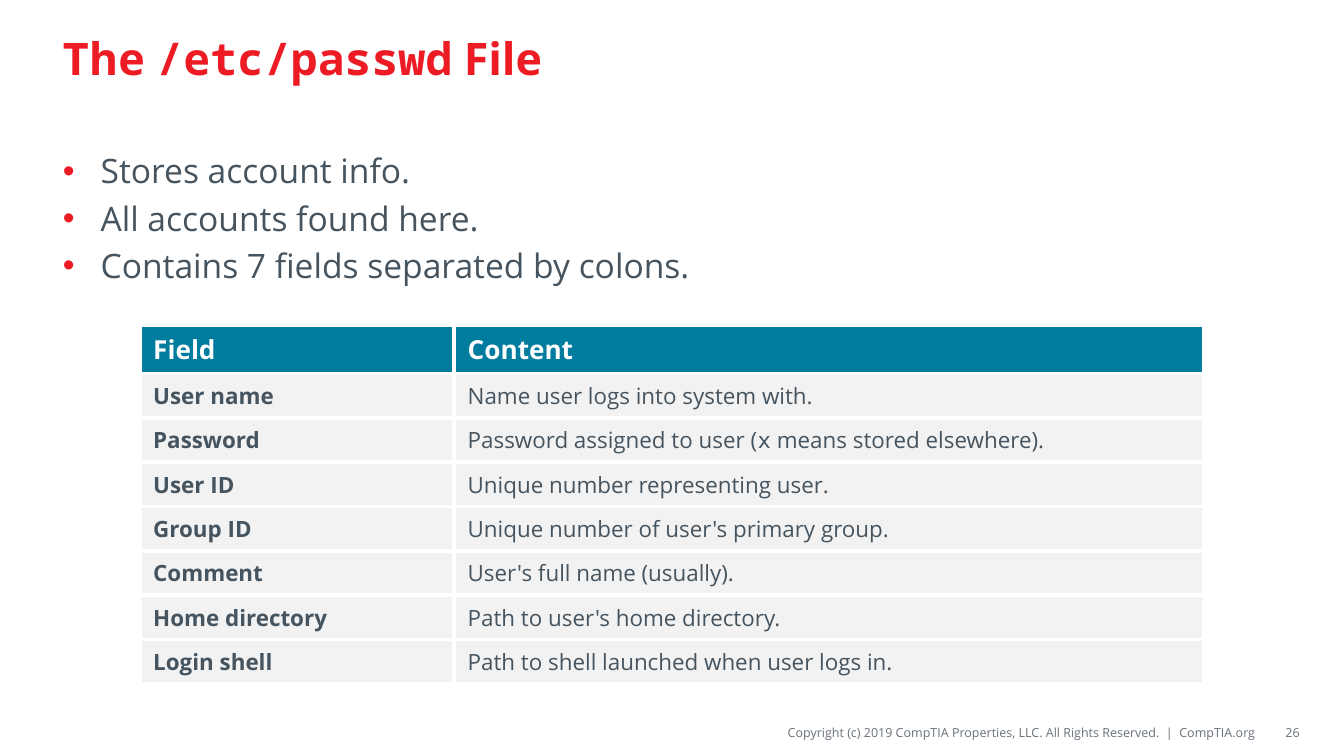
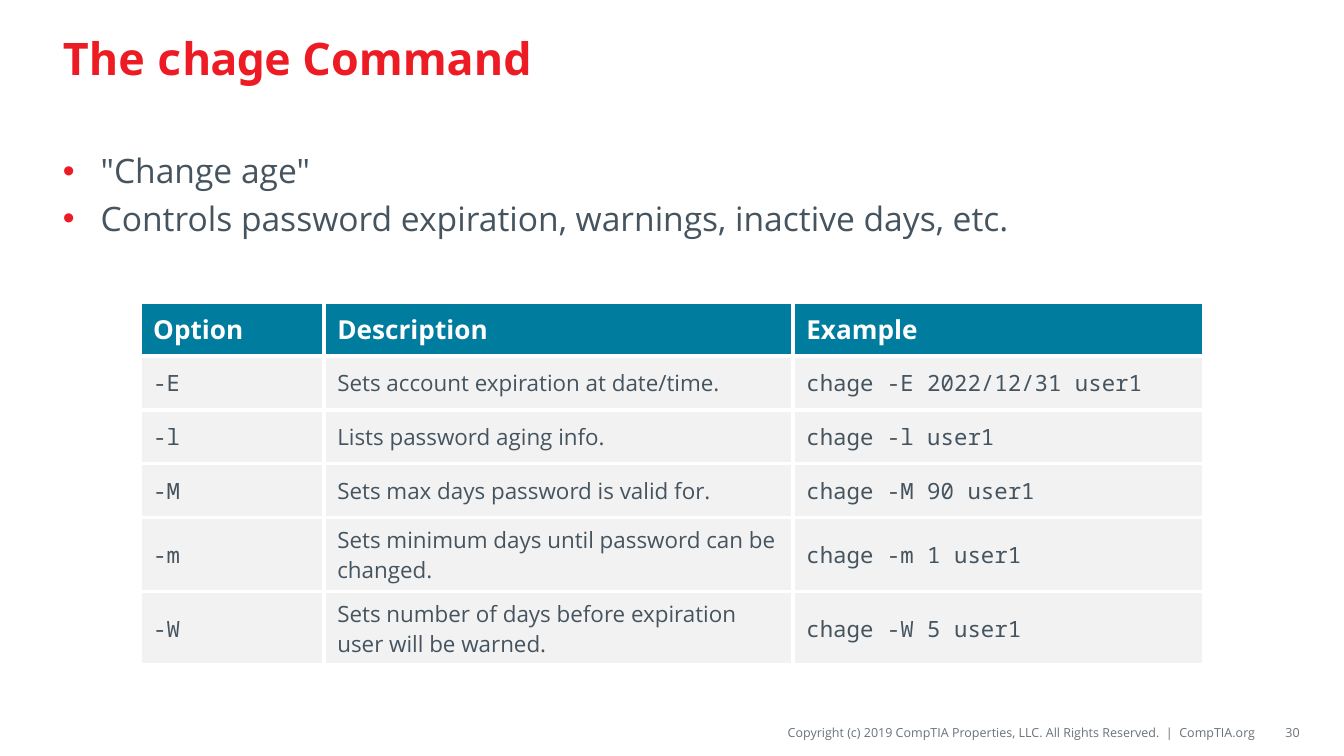
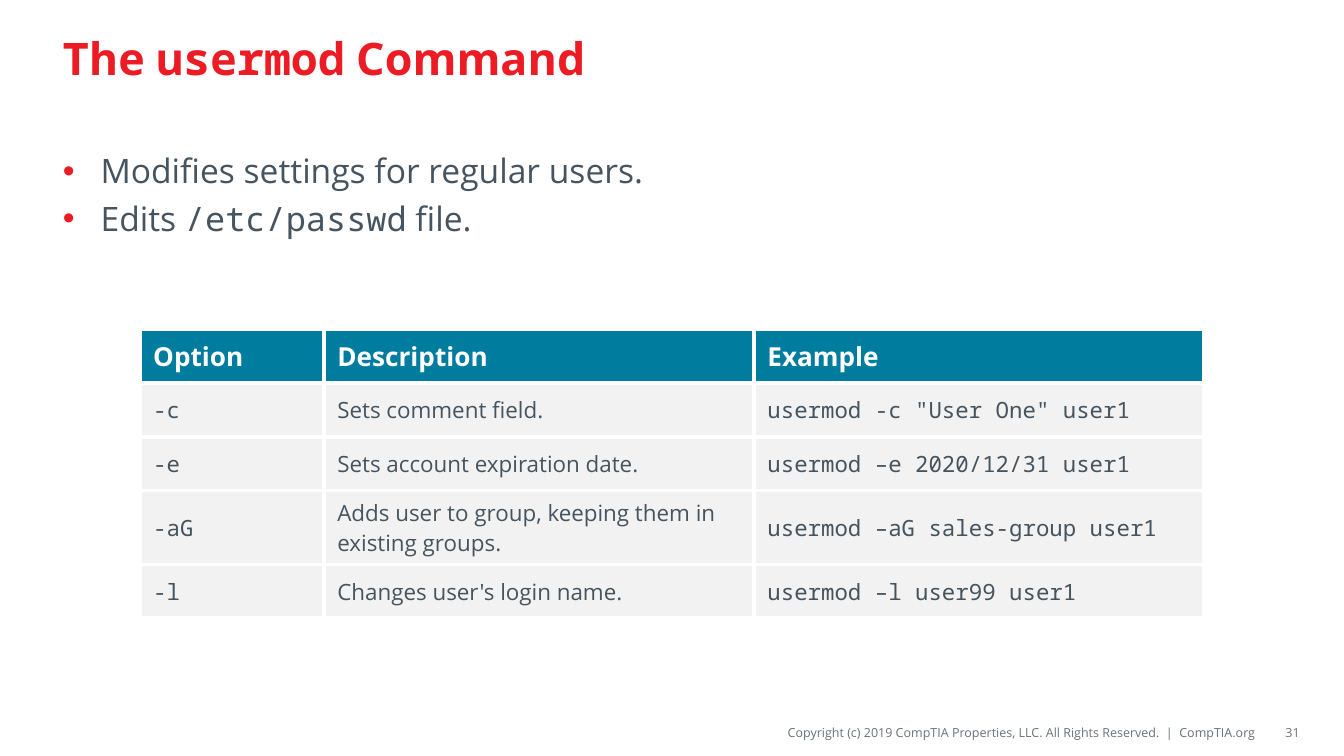
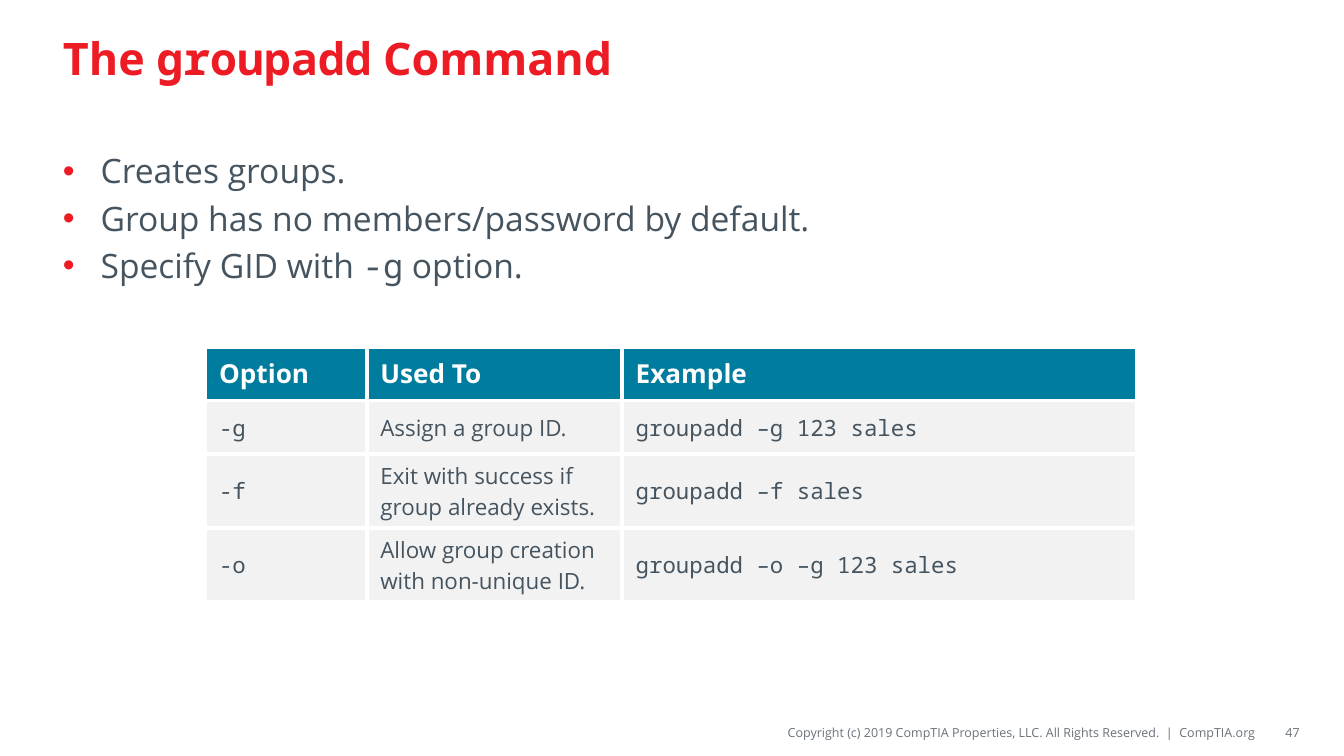
"""Build four slides on Linux account files and commands."""
from lxml.etree import SubElement as Sub
from pptx import Presentation
from pptx.dml.color import RGBColor as Rgb
from pptx.enum.text import MSO_ANCHOR as Anchor, PP_ALIGN as Align
from pptx.oxml.ns import qn
from pptx.util import Inches, Pt

COLORS = {
    "title": "ED1C24", "bullet": "ED1C24", "body": "45545F", "footer": "69727B",
    "header_fill": "007C9E", "row_fill": "F2F2F2", "white": "FFFFFF",
}
SANS, MONO = "Open Sans", "Noto Sans Mono"
STYLES = {
    "title": {"size": Pt(24), "bold": True, "color": "title"},
    "body": {"size": Pt(18), "bold": False, "color": "body"},
    "footer": {"size": Pt(6.75), "bold": False, "color": "footer"},
    "header": {"size": Pt(14), "bold": True, "color": "white"},
    "label": {"size": Pt(12), "bold": True, "color": "body"},
    "cell": {"size": Pt(12), "bold": False, "color": "body"},
}
COPYRIGHT = "Copyright (c) 2019 CompTIA Properties, LLC. All Rights Reserved.  |  CompTIA.org"

PAGES = [
    {
        "number": 26,
        "title": "The `/etc/passwd` File",
        "bullets": ["Stores account info.", "All accounts found here.",
                    "Contains 7 fields separated by colons."],
        "left": 1.04, "top": 2.42, "columns": [2.34, 5.58],
        "heights": [0.36] + [0.33] * 7,
        "first_column": "label",
        "rows": [
            ["Field", "Content"],
            ["User name", "Name user logs into system with."],
            ["Password", "Password assigned to user (`x` means stored elsewhere)."],
            ["User ID", "Unique number representing user."],
            ["Group ID", "Unique number of user's primary group."],
            ["Comment", "User's full name (usually)."],
            ["Home directory", "Path to user's home directory."],
            ["Login shell", "Path to shell launched when user logs in."],
        ],
    },
    {
        "number": 30,
        "title": "The `chage` Command",
        "bullets": ['"Change age"',
                    "Controls password expiration, warnings, inactive days, etc."],
        "left": 1.04, "top": 2.25, "columns": [1.37, 3.49, 3.06],
        "heights": [0.4] * 4 + [0.55] * 2,
        "first_column": "cell",
        "rows": [
            ["Option", "Description", "Example"],
            ["`-E`", "Sets account expiration at date/time.", "`chage -E 2022/12/31 user1`"],
            ["`-l`", "Lists password aging info.", "`chage -l user1`"],
            ["`-M`", "Sets max days password is valid for.", "`chage -M 90 user1`"],
            ["`-m`", "Sets minimum days until password can be changed.",
             "`chage -m 1 user1`"],
            ["`-W`", "Sets number of days before expiration user will be warned.",
             "`chage -W 5 user1`"],
        ],
    },
    {
        "number": 31,
        "title": "The `usermod` Command",
        "bullets": ["Modifies settings for regular users.", "Edits `/etc/passwd` file."],
        "left": 1.04, "top": 2.45, "columns": [1.37, 3.2, 3.35],
        "heights": [0.4] * 3 + [0.55, 0.4],
        "first_column": "cell",
        "rows": [
            ["Option", "Description", "Example"],
            ["`-c`", "Sets comment field.", '`usermod -c "User One" user1`'],
            ["`-e`", "Sets account expiration date.", "`usermod –e 2020/12/31 user1`"],
            ["`-aG`", "Adds user to group, keeping them in existing groups.",
             "`usermod –aG sales-group user1`"],
            ["`-l`", "Changes user's login name.", "`usermod –l user99 user1`"],
        ],
    },
    {
        "number": 47,
        "title": "The `groupadd` Command",
        "bullets": ["Creates groups.", "Group has no members/password by default.",
                    "Specify GID with `-g` option."],
        "left": 1.53, "top": 2.58, "columns": [1.2, 1.9, 3.83],
        "heights": [0.4] * 2 + [0.55] * 2,
        "first_column": "cell",
        "rows": [
            ["Option", "Used To", "Example"],
            ["`-g`", "Assign a group ID.", "`groupadd –g 123 sales`"],
            ["`-f`", "Exit with success if group already exists.", "`groupadd –f sales`"],
            ["`-o`", "Allow group creation with non-unique ID.",
             "`groupadd –o –g 123 sales`"],
        ],
    },
]


def write_text(para, text, style):
    """Add styled spans, with backticks switching to the mono font."""
    for index, part in enumerate(text.split("`")):
        if part:
            span = para.add_run()
            span.text = part
            span.font.name = MONO if index % 2 else SANS
            for name, value in STYLES[style].items():
                if name == "color":
                    span.font.color.rgb = Rgb.from_string(COLORS[value])
                else:
                    setattr(span.font, name, value)


def add_box(page, place, texts, style, **frame_format):
    """Add a wrapping text box with one paragraph per text."""
    frame = page.shapes.add_textbox(*map(Inches, place)).text_frame
    for name, value in {"word_wrap": True, **frame_format}.items():
        setattr(frame, name, value)
    for index, text in enumerate(texts):
        para = frame.add_paragraph() if index else frame.paragraphs[0]
        write_text(para, text, style)
    return frame


deck = Presentation()
deck.slide_width, deck.slide_height = Inches(10), Inches(10 * 9 / 16)

for content in PAGES:
    page = deck.slides.add_slide(deck.slide_layouts[6])
    page.background.fill.solid()
    page.background.fill.fore_color.rgb = Rgb.from_string(COLORS["white"])

    copyright_box = add_box(page, (3.88, 5.34, 5.47, 0.22), [COPYRIGHT], "footer",
                            vertical_anchor=Anchor.MIDDLE, margin_left=0, margin_right=0,
                            margin_top=Inches(0.04), margin_bottom=Inches(0.04))
    number_box = add_box(page, (9.38, 5.34, 0.29, 0.22), [str(content["number"])], "footer",
                         vertical_anchor=Anchor.MIDDLE, margin_right=0)
    for footer in (copyright_box, number_box):
        footer.paragraphs[0].alignment = Align.RIGHT

    add_box(page, (0.37, 0.08, 9.25, 0.69), [content["title"]], "title",
            vertical_anchor=Anchor.MIDDLE)

    body = add_box(page, (0.37, 1.07, 9.25, 3.9), content["bullets"], "body")
    for index, para in enumerate(body.paragraphs):
        para.space_before = Pt(3.6) if index else Pt(0)
        props = para._p.get_or_add_pPr()
        props.set("marL", str(Inches(0.28)))
        props.set("indent", str(-Inches(0.28)))
        Sub(Sub(props, qn("a:buClr")), qn("a:srgbClr"), val=COLORS["bullet"])
        Sub(props, qn("a:buFont"), typeface="Arial")
        Sub(props, qn("a:buChar"), char="•")

    rows, columns, heights = content["rows"], content["columns"], content["heights"]
    table = page.shapes.add_table(
        len(rows), len(columns), Inches(content["left"]), Inches(content["top"]),
        Inches(sum(columns)), Inches(sum(heights))).table
    table.horz_banding = False
    for column, width in zip(table.columns, columns):
        column.width = Inches(width)
    for row_index, texts in enumerate(rows):
        table.rows[row_index].height = Inches(heights[row_index])
        for column_index, text in enumerate(texts):
            cell = table.cell(row_index, column_index)
            cell.vertical_anchor = Anchor.MIDDLE
            for side in ("lnL", "lnR", "lnT", "lnB"):
                line = Sub(cell._tc.get_or_add_tcPr(), qn(f"a:{side}"), w=str(Pt(2.25)))
                Sub(Sub(line, qn("a:solidFill")), qn("a:srgbClr"), val=COLORS["white"])
            cell.fill.solid()
            fill = "row_fill" if row_index else "header_fill"
            cell.fill.fore_color.rgb = Rgb.from_string(COLORS[fill])
            style = "cell" if column_index else content["first_column"]
            write_text(cell.text_frame.paragraphs[0], text, style if row_index else "header")

deck.save("out.pptx")
